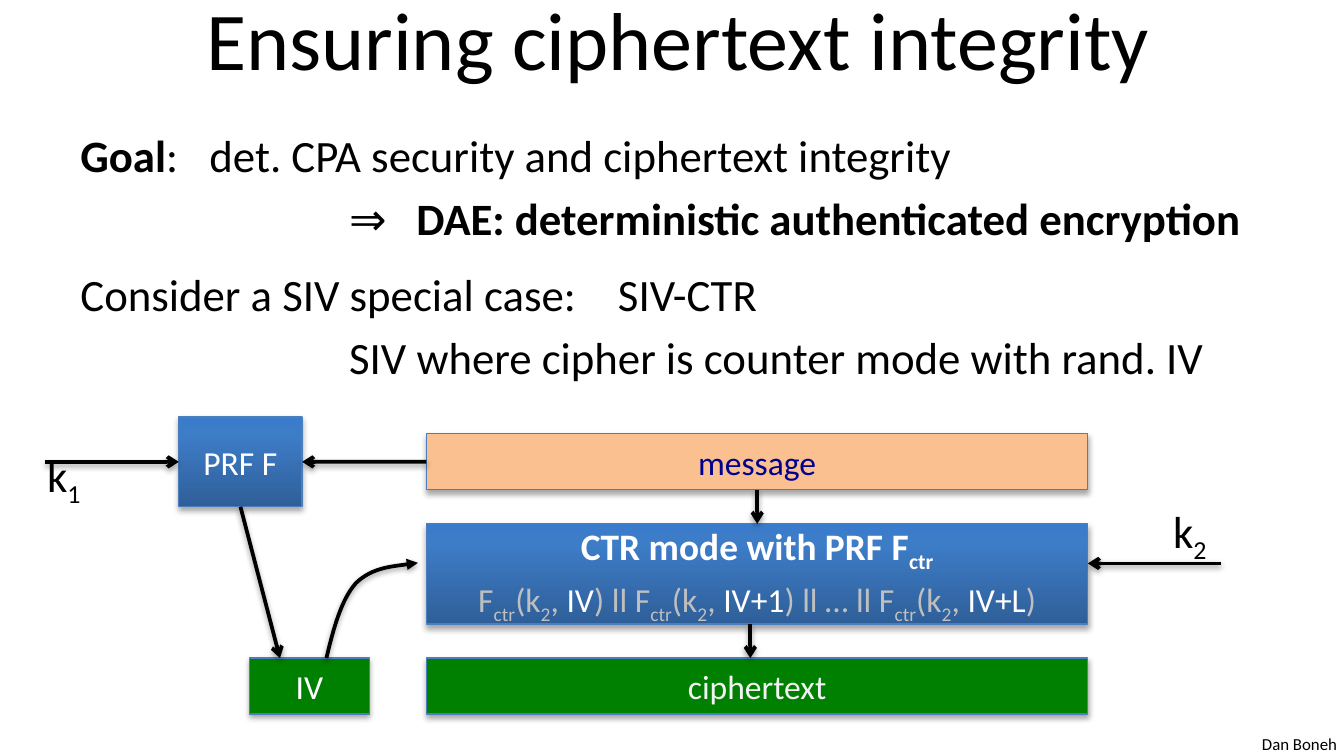
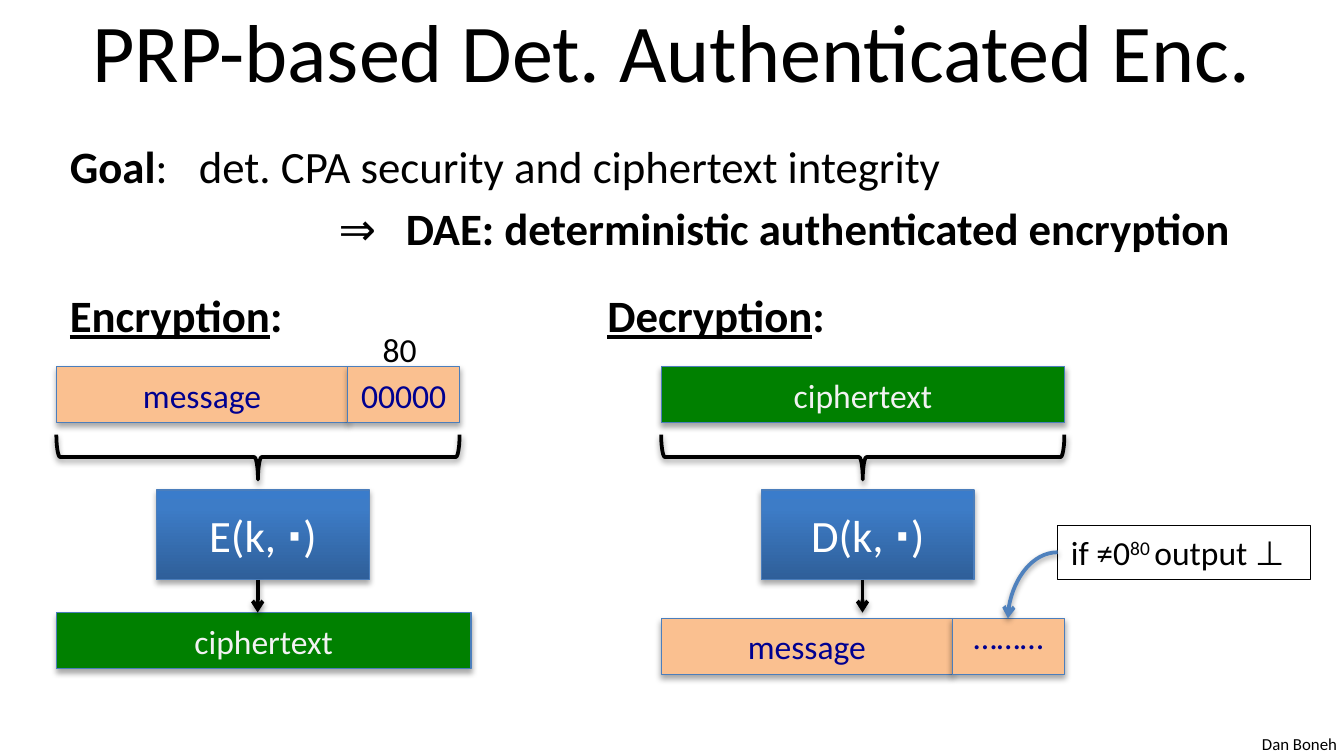
from copy import deepcopy
from dataclasses import dataclass

from pptx import Presentation
from pptx.dml.color import RGBColor
from pptx.enum.shapes import MSO_CONNECTOR, MSO_SHAPE
from pptx.enum.text import MSO_ANCHOR, MSO_AUTO_SIZE, PP_ALIGN
from pptx.oxml import parse_xml
from pptx.oxml.ns import nsdecls, qn
from pptx.oxml.xmlchemy import OxmlElement
from pptx.util import Cm, Pt

RECTANGLE, BRACE = MSO_SHAPE.RECTANGLE, MSO_SHAPE.RIGHT_BRACE
STRAIGHT, CURVE = MSO_CONNECTOR.STRAIGHT, MSO_CONNECTOR.CURVE
LEFT, CENTER = PP_ALIGN.LEFT, PP_ALIGN.CENTER
MIDDLE = MSO_ANCHOR.MIDDLE
GROW = MSO_AUTO_SIZE.SHAPE_TO_FIT_TEXT
TOP_SIDE, LEFT_SIDE, BOTTOM_SIDE, RIGHT_SIDE = range(4)


@dataclass(frozen=True)
class Theme:
    font: str = "Calibri"
    black: str = "000000"
    white: str = "FFFFFF"
    pale: str = "F2F2F2"
    gray: str = "BFBFBF"
    navy: str = "000090"
    peach: str = "FAC090"
    green: str = "008000"
    edge: str = "4B7EBC"
    curve: str = "4F81BD"
    gradient: tuple = ((0, "2F5F99"), (0.8, "3D7CC7"), (1, "3A7CCB"))
    title: int = 44
    body: int = 24
    heading: int = 20
    label: int = 18
    footer: int = 9
    thin: float = 0.75
    thick: float = 2
    tabs: tuple = (2.44, 5.08, 6.35, 10.16)


theme = Theme()


def write(frame, lines, size, color, align=LEFT):
    """Each line is (space before, run, ...); a run is text or (text, style)."""
    for index, (space, *runs) in enumerate(lines):
        paragraph = frame.add_paragraph() if index else frame.paragraphs[0]
        paragraph.alignment = align
        paragraph.space_before = Pt(space)
        paragraph.font.name = theme.font
        paragraph.font.size = Pt(size)
        paragraph.font.color.rgb = RGBColor.from_string(color)
        for run in runs:
            text, style = (run, "") if isinstance(run, str) else run
            span = paragraph.add_run()
            span.text = text
            if "bold" in style:
                span.font.bold = True
            if "underline" in style:
                span.font.underline = True
            if "white" in style:
                span.font.color.rgb = RGBColor.from_string(theme.white)
            if "small" in style:
                span.font.size = Pt(theme.label)
            if "sub" in style:
                span.font._element.set("baseline", "-25000")
            if "sup" in style:
                span.font._element.set("baseline", "30000")


def outline(shape, color, width, arrow=None, opacity=38, distance=20000):
    """Set the line, an optional arrowhead at its end, and the soft shadow."""
    shape.line.color.rgb = RGBColor.from_string(color)
    shape.line.width = Pt(width)
    properties = shape._element.find(qn("p:spPr"))
    if arrow:
        head = OxmlElement("a:tailEnd")
        head.set("type", arrow)
        properties.find(qn("a:ln")).append(head)
    properties.append(parse_xml(
        f'<a:effectLst {nsdecls("a")}><a:outerShdw blurRad="40000" dist="{distance}" '
        f'dir="5400000" rotWithShape="0"><a:srgbClr val="{theme.black}">'
        f'<a:alpha val="{opacity}000"/></a:srgbClr></a:outerShdw></a:effectLst>'))


# Wording shared by both pages
goal = [
    (4.8, ("Goal", "bold"), ":\tdet. CPA security and ciphertext integrity"),
    (4.8, "\t\t⇒\t", ("DAE: deterministic authenticated encryption", "bold")),
]
counter_mode = [
    (0, ("CTR mode with PRF F", "bold white"), ("ctr", "bold white sub")),
    (3,),
]
for opening, counter in (("F", "IV"), (") ll F", "IV+1"), (") ll … ll F", "IV+L")):
    counter_mode[1] += ((opening, "small"), ("ctr", "small sub"), ("(k", "small"),
                        ("2", "small sub"), (", ", "small"), (counter, "small white"))
counter_mode[1] += ((")", "small"),)

# Box styles: fill, text colour, text size
message_style = (theme.peach, theme.navy, theme.label)
cipher_style = (theme.green, theme.pale, theme.label)
iv_style = (theme.green, theme.white, theme.label)
prf_style = (None, theme.white, theme.label)
counter_style = (None, theme.gray, theme.heading)
permutation_style = (None, theme.white, theme.body)

bar = 1.06      # height of a data bar
block = 1.7     # height of a function block
shift = 11.43   # from the encryption column to the decryption column

pages = [
    dict(
        title=("Ensuring ciphertext integrity", 1.07, -0.48, 23.5),
        body=(1.27, 2.29, 5.51, goal + [
            (12.2, "Consider a SIV special case:\tSIV-CTR"),
            (4.8, "\t\tSIV where cipher is counter mode with rand. IV")]),
        boxes=[
            ("message", 8.06, 8.2, 12.5, bar, message_style, [(0, "message")]),
            ("prf", 3.38, 7.88, 2.33, block, prf_style, [(0, "PRF F")]),
            ("counter", 8.06, 9.9, 12.5, 1.9, counter_style, counter_mode),
            ("iv", 4.72, 12.44, 2.26, bar, iv_style, [(0, "IV")]),
            ("cipher", 8.06, 12.44, 12.5, bar, cipher_style, [(0, "ciphertext")]),
        ],
        # start point, end point, joined start, joined end
        arrows=[
            (0.85, 8.73, 3.38, 8.73, None, ("prf", LEFT_SIDE)),
            (4.55, 9.58, 5.29, 12.44, ("prf", BOTTOM_SIDE), None),
            (8.06, 8.73, 5.71, 8.73, ("message", LEFT_SIDE), ("prf", RIGHT_SIDE)),
            (23.07, 10.65, 20.56, 10.65, None, None),
            (14.31, 9.26, 14.31, 9.9, ("message", BOTTOM_SIDE), ("counter", TOP_SIDE)),
            (14.18, 11.8, 14.18, 12.44, None, None),
        ],
        labels=[
            (0.64, 8.33, 1.2, 1.28, theme.body, ["k", ("1", "sub")]),
            (21.92, 9.4, 1.2, 1.28, theme.body, ["k", ("2", "sub")]),
        ],
        braces=[],
    ),
    dict(
        title=("PRP-based Det. Authenticated Enc.", 1.27, -0.25, 22.86),
        body=(1.07, 2.49, 5.08, goal + [
            (17.8, ("Encryption", "bold underline"), (":\t\t\t", "bold"),
             ("Decryption", "bold underline"), (":", "bold"))]),
        boxes=[
            ("message", 1.07, 6.93, 5.5, bar, message_style, [(0, "message")]),
            ("zeros", 6.57, 6.93, 2.12, bar, message_style, [(0, "00000")]),
            ("encrypt", 2.96, 9.26, 4.02, block, permutation_style,
             [(0, "E(k, ", ("⋅", "bold"), ")")]),
            ("cipher", 1.07, 11.58, 7.83, bar, cipher_style, [(0, "ciphertext")]),
            ("decoded", 1.07 + shift, 11.69, 5.5, bar, message_style, [(0, "message")]),
            ("padding", 6.57 + shift, 11.69, 2.12, bar, message_style, [(0, "………")]),
            ("decrypt", 2.96 + shift, 9.26, 4.02, block, permutation_style,
             [(0, "D(k, ", ("⋅", "bold"), ")")]),
            ("received", 1.07 + shift, 6.93, 7.62, bar, cipher_style, [(0, "ciphertext")]),
        ],
        arrows=[(x, 10.96, x, 11.58, None, None) for x in (4.87, 4.87 + shift)],
        labels=[
            (6.98, 6.1, 1.17, 1.02, theme.label, ["80"]),
            (19.99, 9.93, 4.78, 1.02, theme.label,
             ["if ≠0", ("80 ", "sup"), "output ⊥"]),
        ],
        braces=[4.45, 4.45 + shift],
    ),
]

deck = Presentation()
deck.slide_width, deck.slide_height = Cm(25.4), Cm(14.29)
drawn = []

for content in pages:
    page = deck.slides.add_slide(deck.slide_layouts[5])
    shapes = page.shapes

    # Title
    text, left, top, width = content["title"]
    title = shapes.title
    title.left, title.top, title.width, title.height = Cm(left), Cm(top), Cm(width), Cm(2.39)
    title.text_frame.vertical_anchor = MIDDLE
    write(title.text_frame, [(0, text)], theme.title, theme.black, CENTER)

    # Body text with shared tab stops
    left, top, height, lines = content["body"]
    body = shapes.add_textbox(Cm(left), Cm(top), Cm(22.86), Cm(height))
    body.text_frame.word_wrap = True
    write(body.text_frame, lines, theme.body, theme.black)
    for paragraph in body.text_frame.paragraphs:
        stops = OxmlElement("a:tabLst")
        for position in theme.tabs:
            stop = OxmlElement("a:tab")
            stop.set("pos", str(Cm(position)))
            stop.set("algn", "l")
            stops.append(stop)
        paragraph._p.pPr.find(qn("a:defRPr")).addprevious(stops)

    # Boxes
    boxes = {}
    for name, left, top, width, height, (fill, color, size), lines in content["boxes"]:
        box = shapes.add_shape(RECTANGLE, Cm(left), Cm(top), Cm(width), Cm(height))
        if fill:
            box.fill.solid()
            box.fill.fore_color.rgb = RGBColor.from_string(fill)
        else:
            box.fill.gradient()
            box.fill.gradient_angle = 90
            stop_list = box._element.spPr.find(".//" + qn("a:gsLst"))
            stop_list.append(deepcopy(stop_list[-1]))
            for stop, (position, shade) in zip(box.fill.gradient_stops, theme.gradient):
                stop.position = position
                stop.color.rgb = RGBColor.from_string(shade)
        outline(box, theme.edge, theme.thin, opacity=35, distance=23000)
        box.text_frame.vertical_anchor = MIDDLE
        write(box.text_frame, lines, size, color, CENTER)
        boxes[name] = box

    # Braces under the top bars
    for left in content["braces"]:
        brace = shapes.add_shape(BRACE, Cm(left), Cm(4.83), Cm(0.85), Cm(7.62))
        brace.rotation = 90
        brace.fill.background()
        outline(brace, theme.black, theme.thick)

    # Straight arrows
    for x1, y1, x2, y2, start, end in content["arrows"]:
        arrow = shapes.add_connector(STRAIGHT, Cm(x1), Cm(y1), Cm(x2), Cm(y2))
        if start:
            arrow.begin_connect(boxes[start[0]], start[1])
        if end:
            arrow.end_connect(boxes[end[0]], end[1])
        outline(arrow, theme.black, theme.thick, "arrow")

    # Labels and footer
    footer = (23.6, 13.74, 1.93, 0.64, theme.footer, ["Dan Boneh"])
    for left, top, width, height, size, runs in content["labels"] + [footer]:
        label = shapes.add_textbox(Cm(left), Cm(top), Cm(width), Cm(height))
        label.text_frame.word_wrap = False
        label.text_frame.auto_size = GROW
        write(label.text_frame, [(0, *runs)], size, theme.black)
        boxes[runs[0]] = label
    drawn.append((shapes, boxes))

# Page 1: curved arrow from IV to counter mode
shapes, boxes = drawn[0]
points = [(6.3, 11.89), (6.45, 11.33), (6.73, 11.02),
          (7.04, 10.72), (7.9, 10.64), (7.9, 10.64)]
builder = shapes.build_freeform(Cm(6.17), Cm(12.44))
builder.add_line_segments([(Cm(x), Cm(y)) for x, y in points], close=False)
iv_curve = builder.convert_to_shape()
segments = list(iv_curve._element.iter(qn("a:lnTo")))
for index in range(0, len(segments), 3):
    bezier = OxmlElement("a:cubicBezTo")
    segments[index].addprevious(bezier)
    for segment in segments[index:index + 3]:
        bezier.append(segment[0])
        segment.getparent().remove(segment)
iv_curve.fill.background()
outline(iv_curve, theme.black, theme.thick, "triangle")

# Page 2: tight insets, framed note and its curved arrow
shapes, boxes = drawn[1]
boxes["zeros"].text_frame.margin_left = boxes["zeros"].text_frame.margin_right = 0
boxes["padding"].text_frame.margin_bottom = Cm(0.51)
note = boxes["if ≠0"]
note.line.color.rgb = RGBColor.from_string(theme.black)
note.line.width = Pt(theme.thin)
check = shapes.add_connector(CURVE, Cm(19.99), Cm(10.44), Cm(19.05), Cm(11.69))
check._element.spPr.find(qn("a:prstGeom")).set("prst", "curvedConnector2")
outline(check, theme.curve, theme.thick, "arrow")

deck.save("out.pptx")
